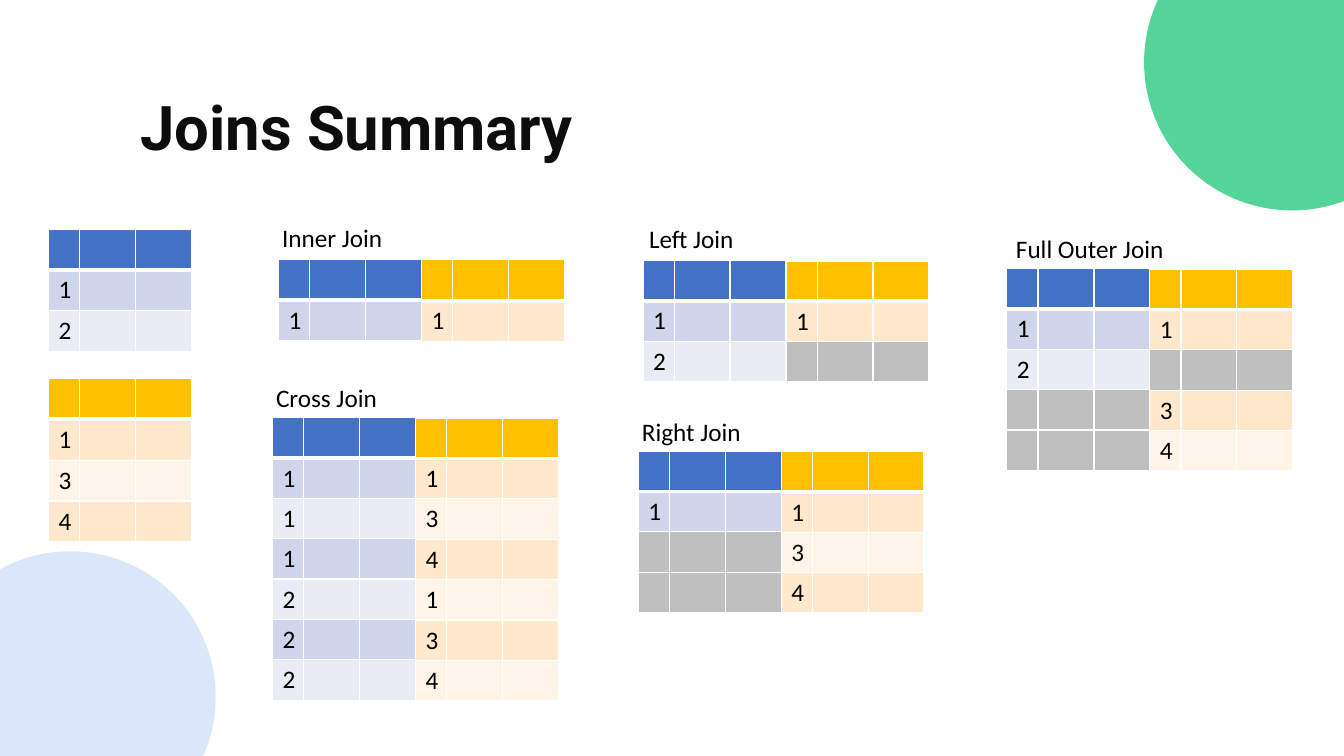
from pptx import Presentation
from pptx.dml.color import RGBColor
from pptx.enum.shapes import MSO_SHAPE
from pptx.enum.text import MSO_ANCHOR, MSO_AUTO_SIZE, PP_ALIGN
from pptx.oxml.ns import qn
from pptx.util import Pt
from lxml.etree import SubElement

BLUE = ("4472C4", "CFD5EA", "E9EBF5")
GOLD = ("FFC000", "FFE8CC", "FFF4E7")
GREY = "BFBFBF"
COLUMNS = (22.3, 39.9, 39.9)
ROW = 28.85

JOINS = [
    ("Inner Join", (194.4, 155.5), (199, 185.2), [1], [1]),
    ("Cross Join", (190.1, 269.3), (194.7, 298.3), [1, 1, 1, 2, 2, 2], [1, 3, 4, 1, 3, 4]),
    ("Left Join", (456.5, 156.2), (459.3, 186), [1, 2], [1, None]),
    ("Right Join", (451.4, 293.8), (455.9, 322.2), [1, None, None], [1, 3, 4]),
    ("Full Outer Join", (718.6, 163.4), (719.2, 191.8), [1, 2, None, None], [1, None, 3, 4]),
]


def rgb(value):
    """Turn a hex string into a colour."""
    return RGBColor.from_string(value)


class Deck:
    """Holds the text style and the current slide."""

    def __init__(self, slide, font="Calibri", size=18, color="000000"):
        """Keep the slide and the default text style."""
        self.s, self.font, self.size, self.color = slide, font, size, color

    def style(self, p, font=None, size=None, color=None, bold=False):
        """Set the font of a paragraph."""
        p.font.name = font or self.font
        p.font.size = Pt(size or self.size)
        p.font.color.rgb = rgb(color or self.color)
        p.font.bold = bold

    def title(self, text, x, y, w, h):
        """Place and format the title placeholder."""
        sp = self.s.shapes.title
        sp.left, sp.top, sp.width, sp.height = Pt(x), Pt(y), Pt(w), Pt(h)
        tf = sp.text_frame
        tf.text = text
        tf.auto_size = MSO_AUTO_SIZE.NONE
        tf.vertical_anchor = MSO_ANCHOR.MIDDLE
        p = tf.paragraphs[0]
        p.alignment = PP_ALIGN.LEFT
        self.style(p, "Roboto", 44, "0D0D0D", True)

    def circle(self, x, y, d, color):
        """Draw a plain filled circle."""
        sp = self.s.shapes.add_shape(MSO_SHAPE.OVAL, Pt(x), Pt(y), Pt(d), Pt(d))
        sp.shadow.inherit = False
        sp.fill.solid()
        sp.fill.fore_color.rgb = rgb(color)
        sp.line.fill.background()

    def label(self, text, x, y):
        """Add a one-line caption."""
        tf = self.s.shapes.add_textbox(Pt(x), Pt(y), Pt(204), Pt(29)).text_frame
        tf.word_wrap = True
        tf.text = text
        self.style(tf.paragraphs[0])

    def cell(self, cell, color, top, bottom):
        """Fill a cell and give it white borders."""
        tcPr = cell._tc.get_or_add_tcPr()
        for side, width in (("L", 1), ("R", 1), ("T", top), ("B", bottom)):
            ln = SubElement(tcPr, qn(f"a:ln{side}"), w=str(Pt(width)))
            SubElement(SubElement(ln, qn("a:solidFill")), qn("a:srgbClr"), val="FFFFFF")
        cell.fill.solid()
        cell.fill.fore_color.rgb = rgb(color)
        self.style(cell.text_frame.paragraphs[0])

    def table(self, x, y, keys, palette):
        """Add a table with one row per key, grey where the key is missing."""
        head, odd, even = palette
        n = len(keys) + 1
        t = self.s.shapes.add_table(
            n, len(COLUMNS), Pt(x), Pt(y), Pt(sum(COLUMNS)), Pt(n * ROW)).table
        for column, width in zip(t.columns, COLUMNS):
            column.width = Pt(width)
        for i, row in enumerate(t.rows):
            row.height = Pt(ROW)
            key = keys[i - 1] if i else None
            color = head if i == 0 else GREY if key is None else odd if i % 2 else even
            if key is not None:
                row.cells[0].text = str(key)
            for cell in row.cells:
                self.cell(cell, color, 3 if i == 1 else 1, 3 if i == 0 else 1)

    def join(self, name, label_at, table_at, left, right):
        """Add a caption over a blue and a gold table side by side."""
        x, y = table_at
        self.table(x, y, left, BLUE)
        self.table(x + sum(COLUMNS), y + 0.4, right, GOLD)
        self.label(name, *label_at)


def main():
    """Build the slide and save it."""
    prs = Presentation()
    prs.slide_width, prs.slide_height = Pt(960), Pt(540)
    deck = Deck(prs.slides.add_slide(prs.slide_layouts[5]))
    deck.circle(817.2, -61.2, 211.5, "54D499")
    deck.circle(-54, 393.8, 208.1, "DCE6FA")
    deck.title("Joins Summary", 92.9, 59.8, 692, 60.5)
    deck.table(34.7, 163.6, [1, 2], BLUE)
    deck.table(34.7, 270.3, [1, 3, 4], GOLD)
    for join in JOINS:
        deck.join(*join)
    prs.save("out.pptx")


if __name__ == "__main__":
    main()
